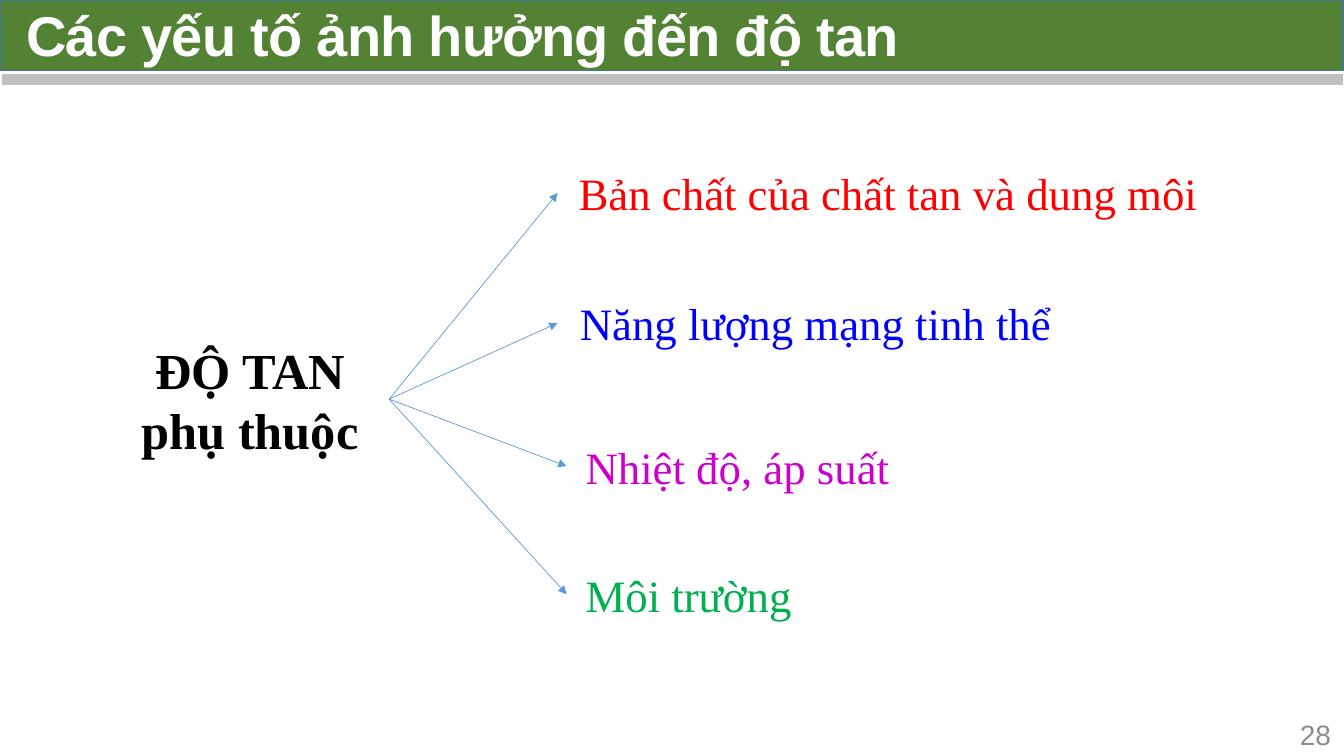
from dataclasses import dataclass

from lxml.etree import SubElement
from pptx import Presentation
from pptx.dml.color import RGBColor
from pptx.enum.shapes import MSO_CONNECTOR, MSO_SHAPE
from pptx.enum.text import MSO_ANCHOR, PP_ALIGN
from pptx.oxml.ns import qn
from pptx.shapes.autoshape import Shape
from pptx.shapes.connector import Connector
from pptx.slide import Slide
from pptx.util import Inches, Pt

WHITE = RGBColor(0xFF, 0xFF, 0xFF)
BLACK = RGBColor(0x00, 0x00, 0x00)
BANNER_GREEN = RGBColor(0x54, 0x82, 0x35)
BANNER_EDGE = RGBColor(0x43, 0x73, 0x9E)
RULE_GRAY = RGBColor(0xBF, 0xBF, 0xBF)
NUMBER_GRAY = RGBColor(0x8C, 0x8C, 0x8C)
ARROW_BLUE = RGBColor(0x5B, 0x9B, 0xD5)
RED = RGBColor(0xFF, 0x00, 0x00)
BLUE = RGBColor(0x00, 0x00, 0xFF)
MAGENTA = RGBColor(0xCC, 0x00, 0xCC)
GREEN = RGBColor(0x00, 0xB0, 0x50)

HEADING_FONT = "Arial"
BODY_FONT = "Times New Roman"
LEFT_SIDE, RIGHT_SIDE = 1, 3


@dataclass(frozen=True)
class Label:
    text: str
    left: float
    top: float
    width: float
    height: float
    color: RGBColor
    size: int = 32
    font: str = BODY_FONT
    bold: bool = False
    align: PP_ALIGN = PP_ALIGN.CENTER
    anchor: MSO_ANCHOR = MSO_ANCHOR.MIDDLE


TITLE = Label("Các yếu tố ảnh hưởng đến độ tan", 0.16, 0.06, 12.97, 0.64, WHITE,
              40, HEADING_FONT, True, PP_ALIGN.LEFT, MSO_ANCHOR.TOP)
PAGE_NUMBER = Label("28", 12.72, 7.06, 0.58, 0.44, NUMBER_GRAY,
                    20, HEADING_FONT, align=PP_ALIGN.RIGHT)
SOLUBILITY = Label("ĐỘ TAN phụ thuộc", 1.1, 3.04, 2.76, 1.84, BLACK, 36, bold=True)
FACTORS = [
    Label("Bản chất của chất tan và dung môi", 5.53, 1.61, 6.56, 0.61, RED),
    Label("Năng lượng mạng tinh thể", 5.53, 2.9, 5.12, 0.61, BLUE),
    Label("Nhiệt độ, áp suất", 5.62, 4.32, 3.39, 0.61, MAGENTA),
    Label("Môi trường", 5.62, 5.59, 2.42, 0.61, GREEN),
]


def add_label(slide: Slide, label: Label) -> Shape:
    box = slide.shapes.add_textbox(Inches(label.left), Inches(label.top),
                                   Inches(label.width), Inches(label.height))
    frame = box.text_frame
    frame.word_wrap = True
    frame.vertical_anchor = label.anchor
    frame.text = label.text
    paragraph = frame.paragraphs[0]
    paragraph.alignment = label.align
    font = paragraph.runs[0].font
    font.name = label.font
    font.size = Pt(label.size)
    font.bold = label.bold
    font.color.rgb = label.color
    return box


def add_line(slide: Slide, start: tuple[float, float], end: tuple[float, float],
             color: RGBColor, weight: float) -> Connector:
    line = slide.shapes.add_connector(
        MSO_CONNECTOR.STRAIGHT, *(Inches(value) for value in (*start, *end)))
    line.line.color.rgb = color
    line.line.width = Pt(weight)
    SubElement(line._element.spPr, qn("a:effectLst"))
    return line


def add_arrow(slide: Slide, source: Shape, target: Shape) -> None:
    """Join the source's right side to the target's left side."""
    arrow = add_line(slide, (0, 0), (0, 0), ARROW_BLUE, 0.5)
    arrow.begin_connect(source, RIGHT_SIDE)
    arrow.end_connect(target, LEFT_SIDE)
    SubElement(arrow.line._get_or_add_ln(), qn("a:tailEnd"), type="triangle")


def add_banner(slide: Slide) -> None:
    add_line(slide, (0.02, 0.79), (13.32, 0.79), RULE_GRAY, 8)
    banner = slide.shapes.add_shape(MSO_SHAPE.RECTANGLE, 0, 0, Inches(13.32), Inches(0.7))
    banner.shadow.inherit = False
    banner.fill.solid()
    banner.fill.fore_color.rgb = BANNER_GREEN
    banner.line.color.rgb = BANNER_EDGE
    banner.line.width = Pt(1)

    paragraph = add_label(slide, TITLE).text_frame.paragraphs[0]
    paragraph.line_spacing = 0.85
    paragraph.runs[0].font._element.set("spc", "-50")


def main() -> None:
    presentation = Presentation()
    presentation.slide_width = Inches(13.33)
    presentation.slide_height = Inches(7.5)
    slide = presentation.slides.add_slide(presentation.slide_layouts[6])

    add_banner(slide)
    add_label(slide, PAGE_NUMBER)
    solubility = add_label(slide, SOLUBILITY)
    for factor in FACTORS:
        add_arrow(slide, solubility, add_label(slide, factor))

    presentation.save("out.pptx")


if __name__ == "__main__":
    main()
